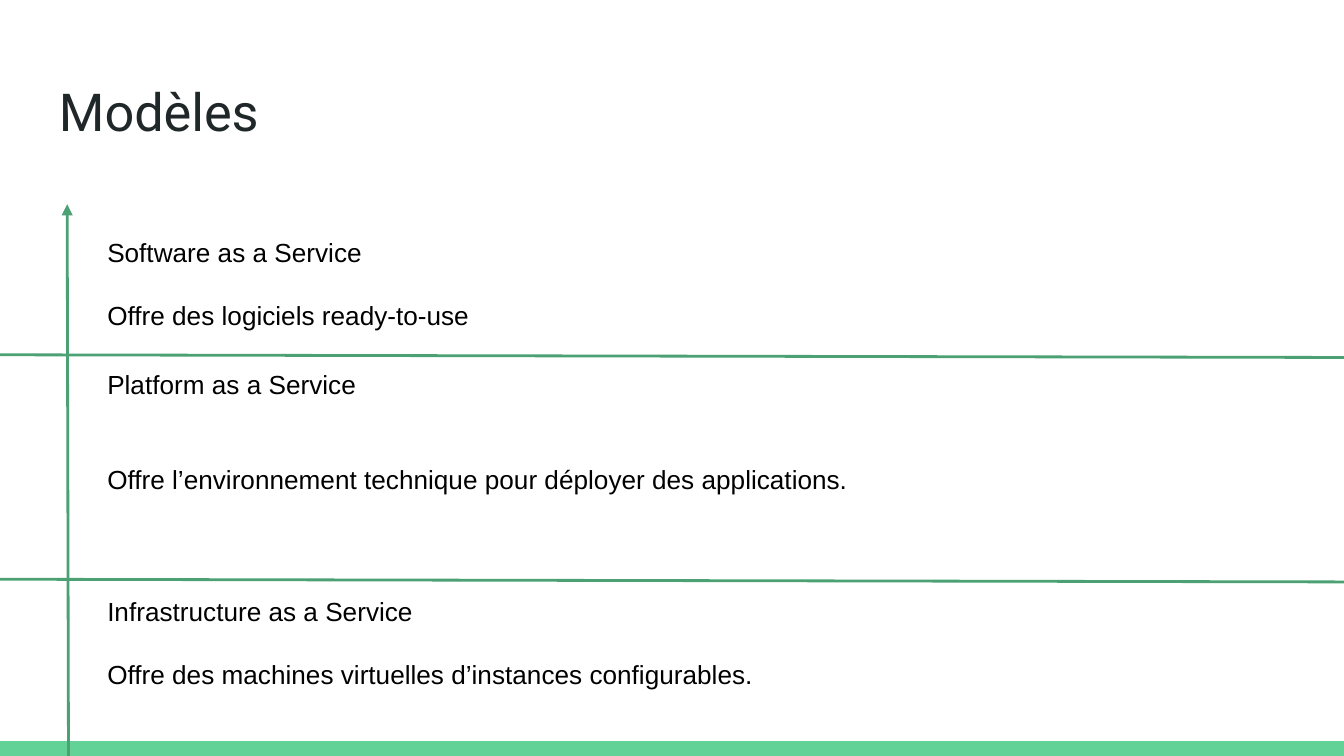
import pptx
import pptx.util
import pptx.dml.color
import pptx.enum.shapes
import pptx.enum.text
import pptx.oxml
import pptx.oxml.ns

TITLE = "Modèles"
LAYERS = [
    {"name": "Software as a Service", "offer": "Offre des logiciels ready-to-use",
     "top": 1.66, "size": (9, 0.94), "gaps": 1},
    {"name": "Platform as a Service",
     "offer": "Offre l’environnement technique pour déployer des applications.",
     "top": 2.64, "size": (9.27, 1.67), "gaps": 2},
    {"name": "Infrastructure as a Service",
     "offer": "Offre des machines virtuelles d’instances configurables.",
     "top": 4.33, "size": (9.27, 1.3), "gaps": 1},
]
DIVIDERS = [((-0.02, 2.64), (10.02, 2.66)), ((-0.04, 4.31), (10, 4.33))]
AXIS = ((0.51, 5.78), (0.5, 1.52))
W = 10
H = W * 9 / 16
LEFT, BAR = 0.7, 0.11


def rgb(value):
    return pptx.dml.color.RGBColor.from_string(value)


THEME = {
    "bar": rgb("63D297"),
    "line": rgb("4BA173"),
    "weight": pptx.util.Pt(1.5),
    "gap": 17,
    "title": {"name": "Roboto", "size": pptx.util.Pt(28), "color": rgb("202729")},
    "body": {"name": "Arial", "size": pptx.util.Pt(14), "color": rgb("000000")},
}
FRAME = {
    "word_wrap": True,
    "vertical_anchor": pptx.enum.text.MSO_ANCHOR.TOP,
    **{f"margin_{side}": pptx.util.Inches(0.1)
       for side in ("left", "top", "right", "bottom")},
}


def inches(*values):
    return [pptx.util.Inches(v) for v in values]


def add_text(s, box, lines, style, gap=0):
    tf = s.shapes.add_textbox(*inches(*box)).text_frame
    for key, value in FRAME.items():
        setattr(tf, key, value)
    for i, line in enumerate(lines):
        p = tf.add_paragraph() if i else tf.paragraphs[0]
        p.space_before = pptx.util.Pt(gap if i else 0)
        r = p.add_run()
        r.text = line
        for key, value in THEME[style].items():
            if key == "color":
                r.font.color.rgb = value
            else:
                setattr(r.font, key, value)


def add_line(s, start, end, arrow=False):
    line = s.shapes.add_connector(
        pptx.enum.shapes.MSO_CONNECTOR.STRAIGHT, *inches(*start, *end))
    line.line.color.rgb = THEME["line"]
    line.line.width = THEME["weight"]
    if arrow:
        tail = pptx.oxml.parse_xml(
            f'<a:tailEnd {pptx.oxml.ns.nsdecls("a")} type="triangle"/>')
        line.line._get_or_add_ln().append(tail)
    line._element.spPr.append(
        pptx.oxml.parse_xml(f'<a:effectLst {pptx.oxml.ns.nsdecls("a")}/>'))


def main():
    prs = pptx.Presentation()
    prs.slide_width, prs.slide_height = inches(W, H)
    s = prs.slides.add_slide(prs.slide_layouts[6])

    sp = s.shapes.add_shape(
        pptx.enum.shapes.MSO_SHAPE.RECTANGLE, *inches(0, H - BAR, W, BAR))
    sp.shadow.inherit = False
    sp.fill.solid()
    sp.fill.fore_color.rgb = THEME["bar"]
    sp.line.fill.background()

    add_text(s, (0.34, 0.49, W - 2 * 0.34, 0.63), [TITLE], "title")
    add_line(s, *AXIS, arrow=True)
    for layer in LAYERS:
        add_text(s, (LEFT, layer["top"], *layer["size"]),
                 [layer["name"], layer["offer"]], "body",
                 THEME["gap"] * layer["gaps"])
    for start, end in DIVIDERS:
        add_line(s, start, end)

    prs.save("out.pptx")


if __name__ == "__main__":
    main()
